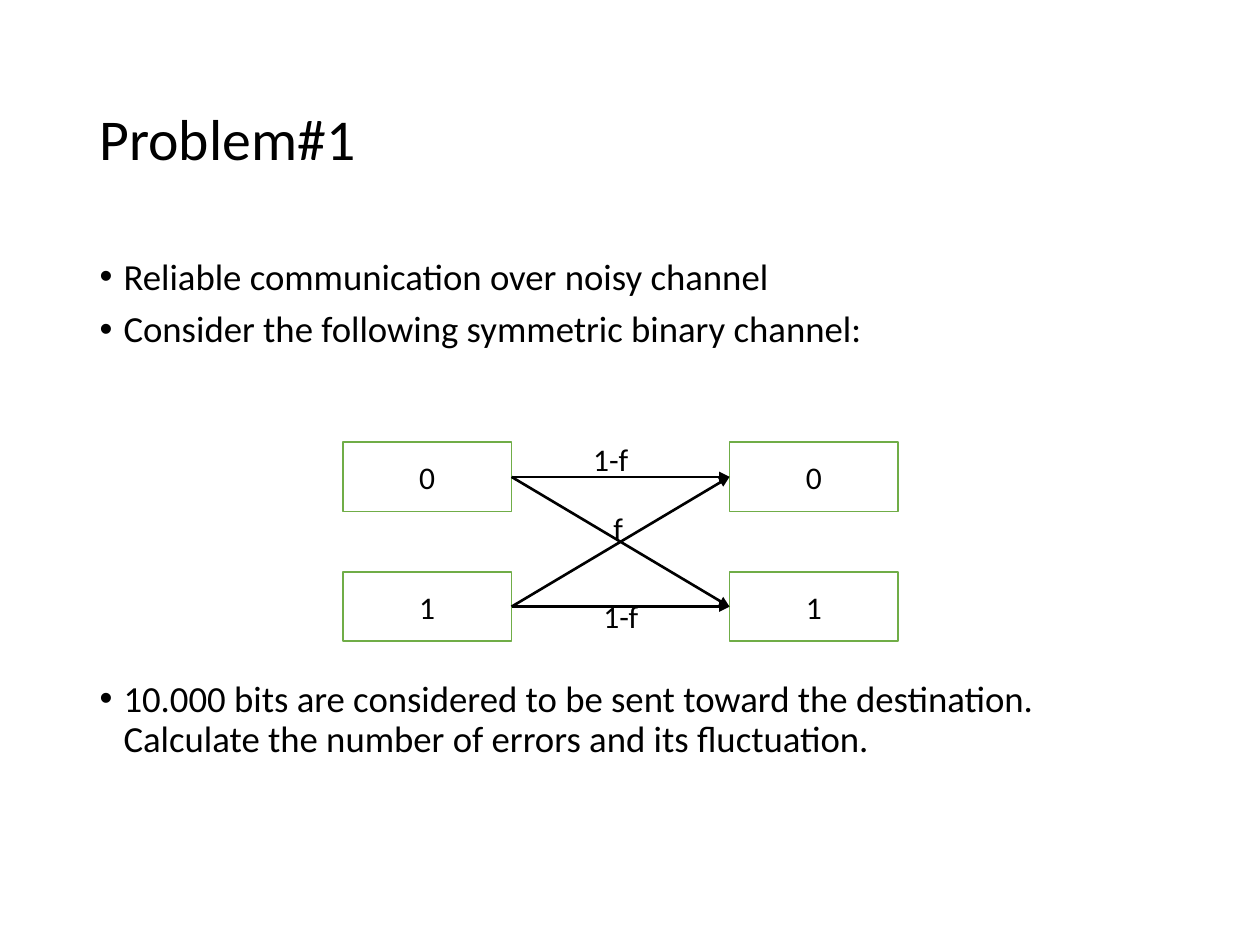
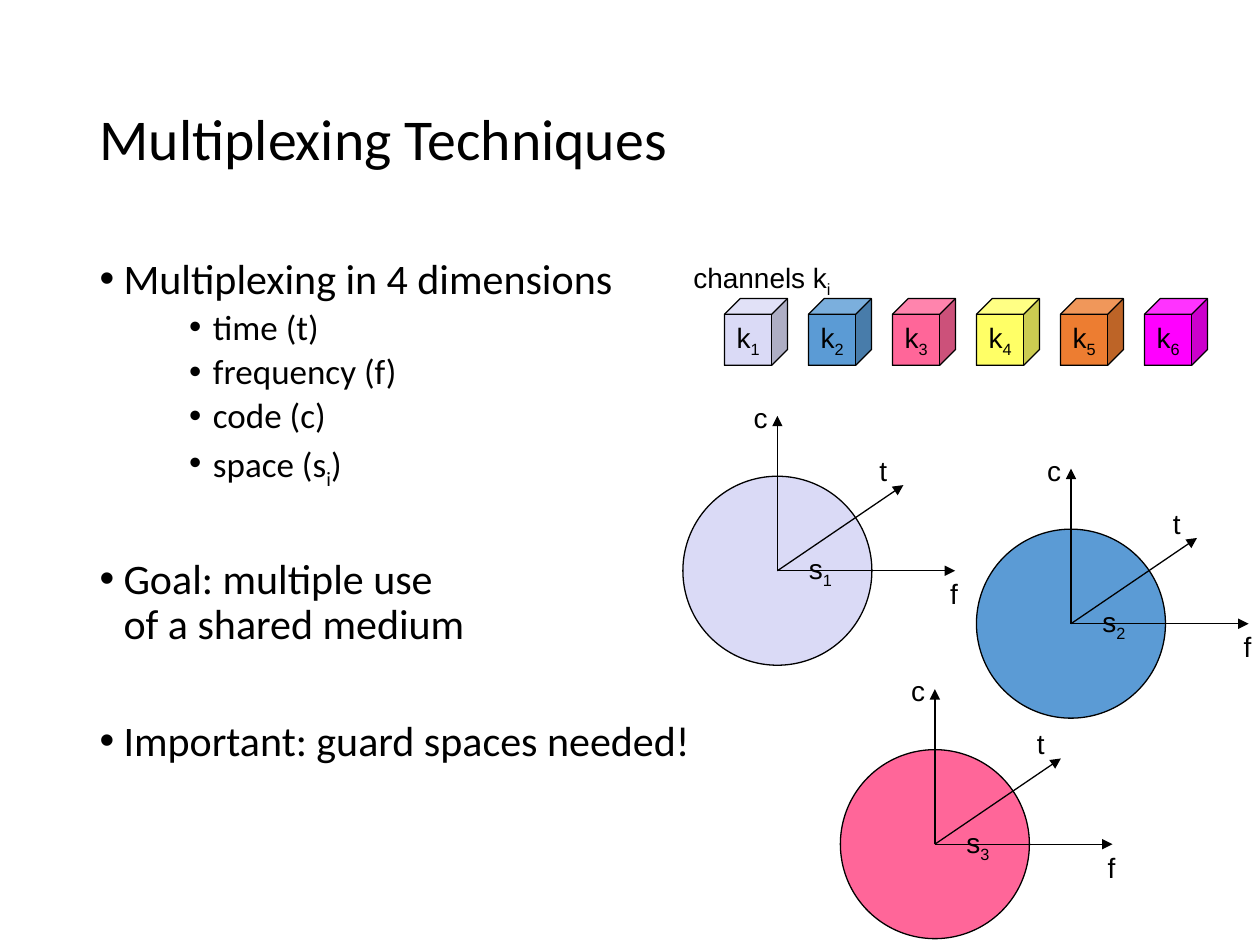
import dataclasses
import typing

import lxml.etree
import pptx
import pptx.dml.color
import pptx.enum.shapes
import pptx.enum.text
import pptx.oxml.ns
import pptx.util

Inches = pptx.util.Inches
Pt = pptx.util.Pt
qn = pptx.oxml.ns.qn
Align = pptx.enum.text.PP_ALIGN
Shape = pptx.enum.shapes.MSO_SHAPE


@dataclasses.dataclass(frozen=True)
class Theme:
    black: str = "000000"
    white: str = "FFFFFF"
    green: str = "70AD47"
    lavender: str = "DADAF6"
    blue: str = "5B9BD5"
    pink: str = "FF6699"
    yellow: str = "FFFF66"
    orange: str = "ED7D31"
    magenta: str = "FF00FF"
    text_font: str = "Calibri"
    figure_font: str = "Arial"
    title_size: float = 33
    lead_size: float = 24
    list_size: float = 21
    item_size: float = 20
    channel_size: float = 18
    figure_size: float = 16
    thin: float = 0.75
    outline: float = 1
    thick: float = 1.5


THEME = Theme()


class Bullet(typing.NamedTuple):
    text: str
    size: float
    before: float = 7.5
    indent: float = 0.19


class Area(typing.NamedTuple):
    left: float
    top: float
    width: float
    height: float

    def lengths(self) -> list:
        return [Inches(value) for value in self]


class Label(typing.NamedTuple):
    text: str
    area: Area


class Axis(typing.NamedTuple):
    name: str
    tip: tuple[float, float]
    label: tuple[float, float]
    label_width: float


class Space(typing.NamedTuple):
    name: str
    x: float
    y: float
    color: str


TITLE_AREA = Area(0.69, 0.4, 8.63, 1.45)
BODY_AREA = Area(0.69, 2, 8.63, 4.76)
HANG = 0.19

# Tips and labels are offsets from the centre of each space
AXES = [
    Axis("t", (1, -0.68), (0.71, -0.98), 0.26),
    Axis("c", (0, -1.23), (-0.29, -1.4), 0.31),
    Axis("f", (1.41, 0), (1.27, 0), 0.26),
]
SPACES = [
    Space("s_1", 6.17, 4.53, THEME.lavender),
    Space("s_2", 8.5, 4.95, THEME.blue),
    Space("s_3", 7.42, 6.7, THEME.pink),
]
CHANNEL_COLORS = [THEME.lavender, THEME.blue, THEME.pink,
                  THEME.yellow, THEME.orange, THEME.magenta]


def rgb(color: str) -> pptx.dml.color.RGBColor:
    return pptx.dml.color.RGBColor.from_string(color)


def write(para, text: str, size: float, face: str) -> None:
    """Fill a paragraph; underscores toggle subscript, newlines break lines."""
    for index, part in enumerate(text.split("_")):
        for number, line in enumerate(part.split("\n")):
            if number:
                para.add_line_break()
            if line:
                span = para.add_run()
                span.text = line
                if index % 2:
                    span.font._element.set("baseline", "-25000")
    para.font.size = Pt(size)
    para.font.name = face
    para.font.color.rgb = rgb(THEME.black)


def add_bullet(para, bullet: Bullet, first: bool) -> None:
    properties = para._p.get_or_add_pPr()
    properties.set("marL", str(Inches(bullet.indent)))
    properties.set("indent", str(-Inches(HANG)))
    lxml.etree.SubElement(properties, qn("a:buFont")).set("typeface", "Arial")
    lxml.etree.SubElement(properties, qn("a:buChar")).set("char", "•")
    para.line_spacing = 0.9
    para.space_before = Pt(0 if first else bullet.before)
    write(para, bullet.text, bullet.size, THEME.text_font)


def place(box, area: Area):
    """Move a placeholder and return its text frame."""
    box.left, box.top, box.width, box.height = area.lengths()
    frame = box.text_frame
    frame.auto_size = pptx.enum.text.MSO_AUTO_SIZE.NONE
    return frame


def add_page(deck, title: str, bullets: list[Bullet]):
    page = deck.slides.add_slide(deck.slide_layouts[1])
    frame = place(page.shapes.title, TITLE_AREA)
    frame.vertical_anchor = pptx.enum.text.MSO_ANCHOR.MIDDLE
    heading = frame.paragraphs[0]
    heading.alignment = Align.LEFT
    heading.line_spacing = 0.9
    write(heading, title, THEME.title_size, THEME.text_font)

    frame = place(page.placeholders[1], BODY_AREA)
    for index, bullet in enumerate(bullets):
        para = frame.add_paragraph() if index else frame.paragraphs[0]
        add_bullet(para, bullet, index == 0)
    return page


def add_figure(page, kind, area: Area, text: str, fill: str, line: str, width: float,
               size: float, face: str, align=Align.CENTER, wrap: bool = True):
    box = page.shapes.add_shape(kind, *area.lengths())
    box.shadow.inherit = False
    box.fill.solid()
    box.fill.fore_color.rgb = rgb(fill)
    box.line.color.rgb = rgb(line)
    box.line.width = Pt(width)
    frame = box.text_frame
    frame.word_wrap = wrap
    frame.vertical_anchor = pptx.enum.text.MSO_ANCHOR.MIDDLE
    frame.paragraphs[0].alignment = align
    write(frame.paragraphs[0], text, size, face)
    return box


def add_label(page, label: Label, size: float, face: str, align=Align.LEFT) -> None:
    frame = page.shapes.add_textbox(*label.area.lengths()).text_frame
    frame.word_wrap = False
    frame.auto_size = pptx.enum.text.MSO_AUTO_SIZE.SHAPE_TO_FIT_TEXT
    frame.paragraphs[0].alignment = align
    write(frame.paragraphs[0], label.text, size, face)


def add_arrow(page, start: tuple[float, float], end: tuple[float, float], width: float):
    arrow = page.shapes.add_connector(
        pptx.enum.shapes.MSO_CONNECTOR.STRAIGHT,
        *[Inches(value) for value in (*start, *end)])
    arrow.line.color.rgb = rgb(THEME.black)
    arrow.line.width = Pt(width)
    properties = arrow._element.spPr
    tail = lxml.etree.SubElement(properties.find(qn("a:ln")), qn("a:tailEnd"))
    tail.set("type", "triangle")
    lxml.etree.SubElement(properties, qn("a:effectLst"))
    return arrow


def build_problem(deck) -> None:
    size = THEME.list_size
    page = add_page(deck, "Problem#1", [
        Bullet("Reliable communication over noisy channel", size),
        Bullet("Consider the following symmetric binary channel:", size),
        Bullet("10.000 bits are considered to be sent toward the destination. "
               "Calculate the number of errors and its fluctuation.", size, before=188.5),
    ])

    # Sent bits on the left, received bits on the right
    sent, received = [
        [add_figure(page, Shape.RECTANGLE, Area(left, 3.51 + 1.03 * bit, 1.34, 0.55),
                    str(bit), THEME.white, THEME.green, THEME.outline,
                    THEME.channel_size, THEME.text_font)
         for bit in (0, 1)]
        for left in (2.72, 5.79)
    ]
    for source in sent:
        for target in received:
            arrow = add_arrow(page, (0, 0), (1, 1), THEME.thick)
            arrow.begin_connect(source, 3)
            arrow.end_connect(target, 1)

    # Transition probabilities
    for label in (Label("f", Area(4.77, 3.99, 0.27, 0.4)),
                  Label("1-f", Area(4.61, 3.44, 0.48, 0.4)),
                  Label("1-f", Area(4.69, 4.69, 0.48, 0.4))):
        add_label(page, label, THEME.channel_size, THEME.text_font)


def add_space(page, space: Space) -> None:
    """A circle with the time, code and frequency axes from its centre."""
    add_figure(page, Shape.OVAL, Area(space.x - 0.75, space.y - 0.75, 1.5, 1.5),
               space.name, space.color, THEME.black, THEME.thin,
               THEME.figure_size, THEME.figure_font, Align.RIGHT)
    for axis in AXES:
        add_arrow(page, (space.x, space.y),
                  (space.x + axis.tip[0], space.y + axis.tip[1]), THEME.thin)
        area = Area(space.x + axis.label[0], space.y + axis.label[1],
                    axis.label_width, 0.37)
        add_label(page, Label(axis.name, area), THEME.figure_size,
                  THEME.figure_font, Align.RIGHT)


def build_multiplexing(deck) -> None:
    dimensions = ["time (t)", "frequency (f)", "code (c)", "space (s_i_)"]
    page = add_page(deck, "Multiplexing Techniques", [
        Bullet("Multiplexing in 4 dimensions", THEME.lead_size),
        *[Bullet(name, THEME.item_size, 3.7, 0.9) for name in dimensions],
        Bullet("Goal: multiple use\nof a shared medium", THEME.lead_size, before=41),
        Bullet("Important: guard spaces needed!", THEME.lead_size, before=41),
    ])

    for space in SPACES:
        add_space(page, space)

    # Row of channels
    for index, color in enumerate(CHANNEL_COLORS):
        add_figure(page, Shape.CUBE, Area(5.75 + index * 2 / 3, 2.37, 0.5, 0.53),
                   f"k_{index + 1}", color, THEME.black, THEME.thin,
                   THEME.figure_size, THEME.figure_font, wrap=False)
    add_label(page, Label("channels k_i", Area(5.4, 2.02, 1.29, 0.41)),
              THEME.figure_size, THEME.figure_font, Align.RIGHT)


def main() -> None:
    deck = pptx.Presentation()
    deck.slide_width = Inches(10)
    deck.slide_height = Inches(7.5)
    build_problem(deck)
    build_multiplexing(deck)
    deck.save("out.pptx")


if __name__ == "__main__":
    main()
